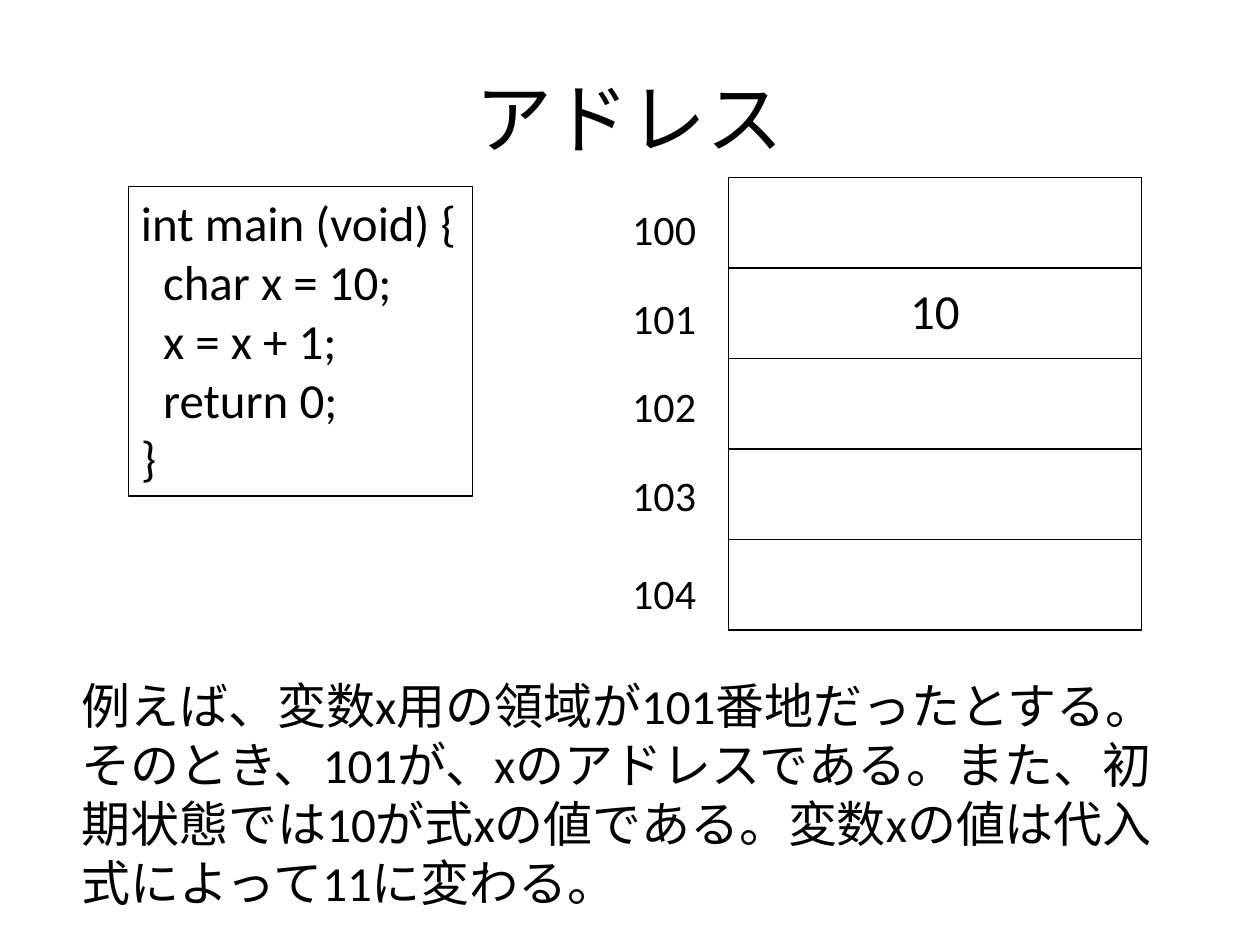
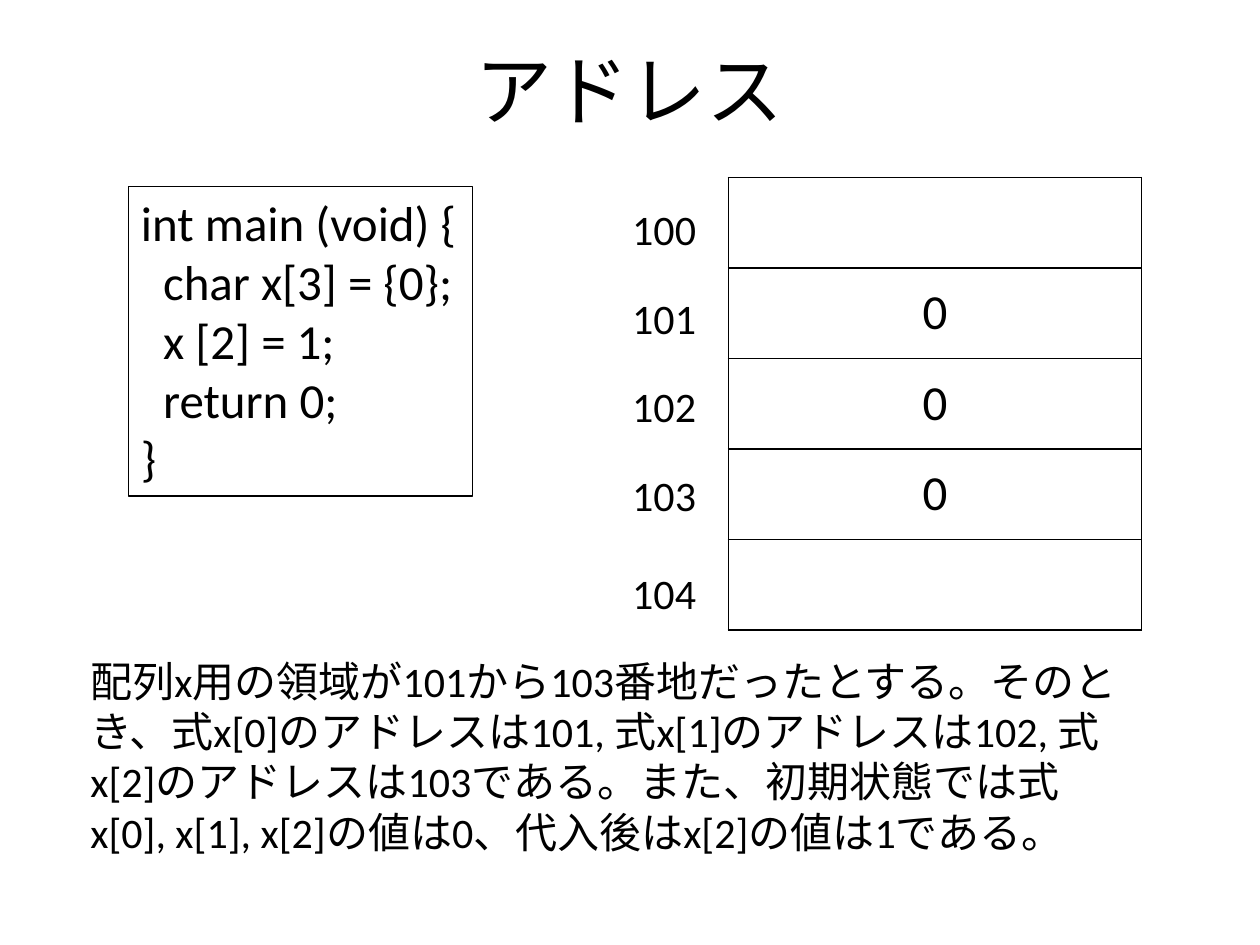
from lxml import etree
from pptx import Presentation
from pptx import util as u
from pptx.dml import color
from pptx.enum import shapes, text
from pptx.oxml import ns

COLORS = {"ink": "000000", "paper": "FFFFFF"}
FONT = "Calibri"
TITLE = "アドレス"
CODE_BOX = (73.5, 106.5, 196.5, 177)
MEMORY_BOX = (416.2, 101.5, 236.2, 258.5)
ADDRESS_TOPS = {"100": 11, "101": 62, "102": 112.5, "103": 163, "104": 219}

LESSONS = [
    {
        "title_box": (36, 21.6, 648, 90),
        "code": ["int main (void) {", "  char x = 10;", "  x = x + 1;", "  return 0;", "}"],
        "memory": ["", "10", "", "", ""],
        "note_box": (39.6, 382.5, 652.3, 143.3),
        "note_size": 28,
        "note": [
            "例えば、変数x用の領域が101番地だったとする。",
            "そのとき、101が、xのアドレスである。また、初期状態では10が式xの値である。"
            "変数xの値は代入式によって11に変わる。",
        ],
    },
    {
        "title_box": (36, 5.8, 648, 90),
        "code": ["int main (void) {", "  char x[3] = {0};", "  x [2] = 1;", "  return 0;", "}"],
        "memory": ["", "0", "0", "0", ""],
        "note_box": (44.6, 370.8, 607.7, 123.8),
        "note_size": 24,
        "note": [
            "配列x用の領域が101から103番地だったとする。そのとき、式x[0]のアドレスは101, "
            "式x[1]のアドレスは102, 式x[2]のアドレスは103である。また、初期状態では"
            "式x[0], x[1], x[2]の値は0、代入後はx[2]の値は1である。",
        ],
    },
]


def rgb(name):
    """Look up a palette colour."""
    return color.RGBColor.from_string(COLORS[name])


def points(box):
    """Turn a box of numbers into point lengths."""
    return [u.Pt(value) for value in box]


def write(frame, lines, size, align=text.PP_ALIGN.LEFT):
    """Fill a text frame with one paragraph per line."""
    for index, line in enumerate(lines):
        paragraph = frame.paragraphs[0] if index == 0 else frame.add_paragraph()
        paragraph.alignment = align
        run = paragraph.add_run()
        run.text = line
        run.font.size = u.Pt(size)
        run.font.name = FONT
        run.font.color.rgb = rgb("ink")


def add_text(slide, box, lines, size, wrap=True):
    """Place a growing text box."""
    frame = slide.shapes.add_textbox(*points(box)).text_frame
    frame.word_wrap = wrap
    frame.auto_size = text.MSO_AUTO_SIZE.SHAPE_TO_FIT_TEXT
    write(frame, lines, size)


def add_title(slide, box):
    """Place the centred slide title."""
    frame = slide.shapes.add_textbox(*points(box)).text_frame
    frame.word_wrap = True
    frame.vertical_anchor = text.MSO_ANCHOR.MIDDLE
    write(frame, [TITLE], 44, text.PP_ALIGN.CENTER)


def add_code(slide, box, lines):
    """Place the outlined program listing."""
    listing = slide.shapes.add_shape(shapes.MSO_SHAPE.RECTANGLE, *points(box))
    listing.shadow.inherit = False
    listing.fill.background()
    listing.line.color.rgb = rgb("ink")
    listing.line.width = u.Pt(0.75)
    frame = listing.text_frame
    frame.word_wrap = False
    frame.auto_size = text.MSO_AUTO_SIZE.SHAPE_TO_FIT_TEXT
    frame.vertical_anchor = text.MSO_ANCHOR.TOP
    write(frame, lines, 28)


def outline(cell):
    """Draw a thin border on all sides of an unfilled cell."""
    properties = cell._tc.get_or_add_tcPr()
    for side in ("a:lnL", "a:lnR", "a:lnT", "a:lnB"):
        border = etree.SubElement(properties, ns.qn(side), w=str(u.Pt(1)))
        paint = etree.SubElement(border, ns.qn("a:solidFill"))
        etree.SubElement(paint, ns.qn("a:srgbClr"), val=COLORS["ink"])
    cell.fill.background()


def add_memory(slide, box, values):
    """Place the memory cells with their addresses on the left."""
    left, top, _, height = box
    memory = slide.shapes.add_table(len(values), 1, *points(box)).table
    memory.first_row = memory.horz_banding = False
    for index, value in enumerate(values):
        memory.rows[index].height = u.Pt(height / len(values))
        cell = memory.cell(index, 0)
        outline(cell)
        cell.vertical_anchor = text.MSO_ANCHOR.MIDDLE
        if value:
            write(cell.text_frame, [value], 28, text.PP_ALIGN.CENTER)
    for address, offset in ADDRESS_TOPS.items():
        add_text(slide, (left - 62, top + offset, 51, 36), [address], 24, wrap=False)


def add_lesson(deck, lesson):
    """Build one slide relating a program to memory."""
    slide = deck.slides.add_slide(deck.slide_layouts[6])
    slide.background.fill.solid()
    slide.background.fill.fore_color.rgb = rgb("paper")
    add_title(slide, lesson["title_box"])
    add_code(slide, CODE_BOX, lesson["code"])
    add_text(slide, lesson["note_box"], lesson["note"], lesson["note_size"])
    add_memory(slide, MEMORY_BOX, lesson["memory"])


def main():
    """Build and save the deck."""
    deck = Presentation()
    deck.slide_width, deck.slide_height = u.Pt(720), u.Pt(540)
    for lesson in LESSONS:
        add_lesson(deck, lesson)
    deck.save("out.pptx")


if __name__ == "__main__":
    main()
